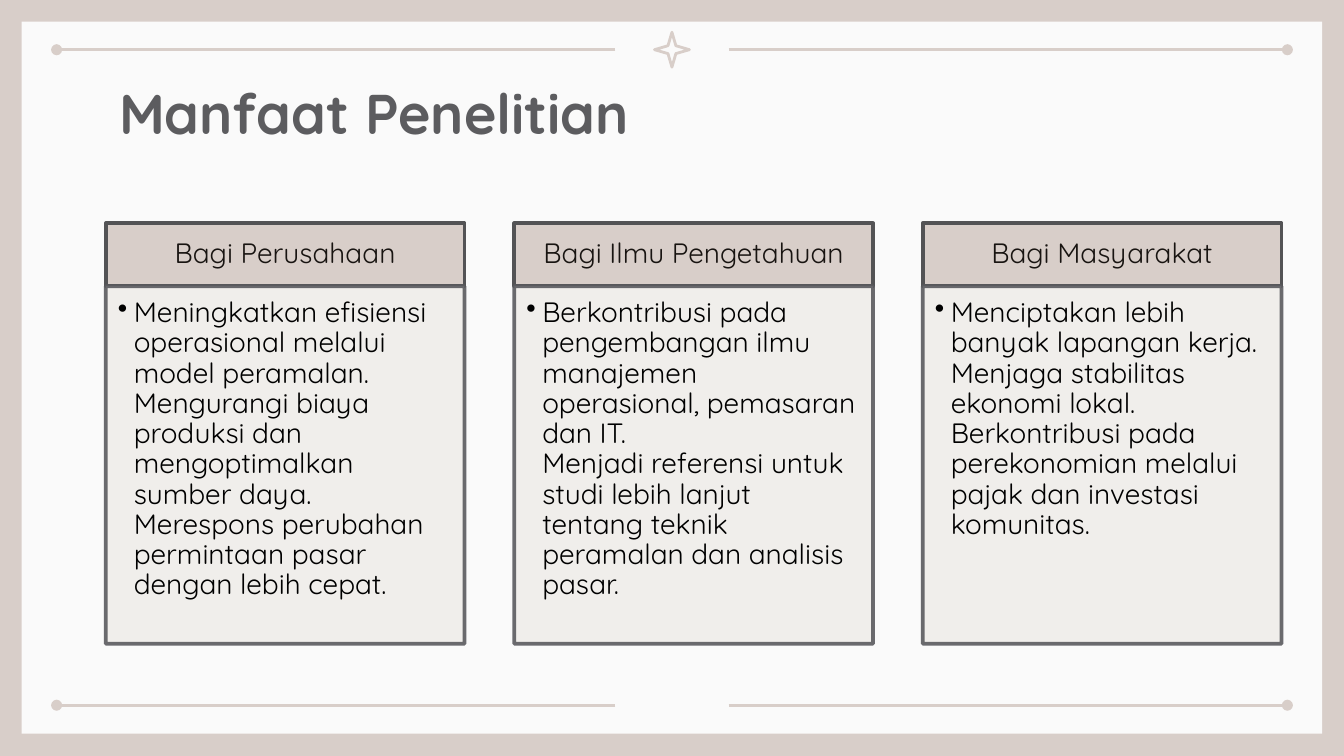
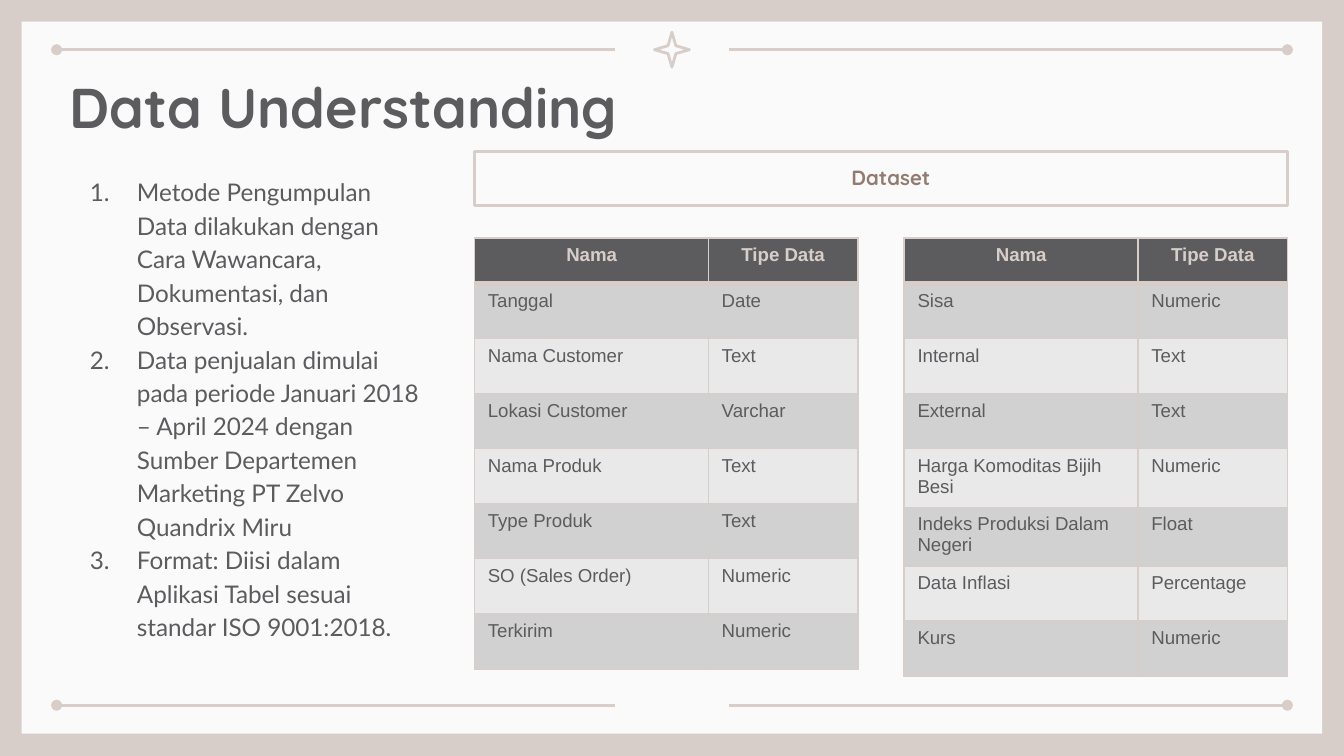
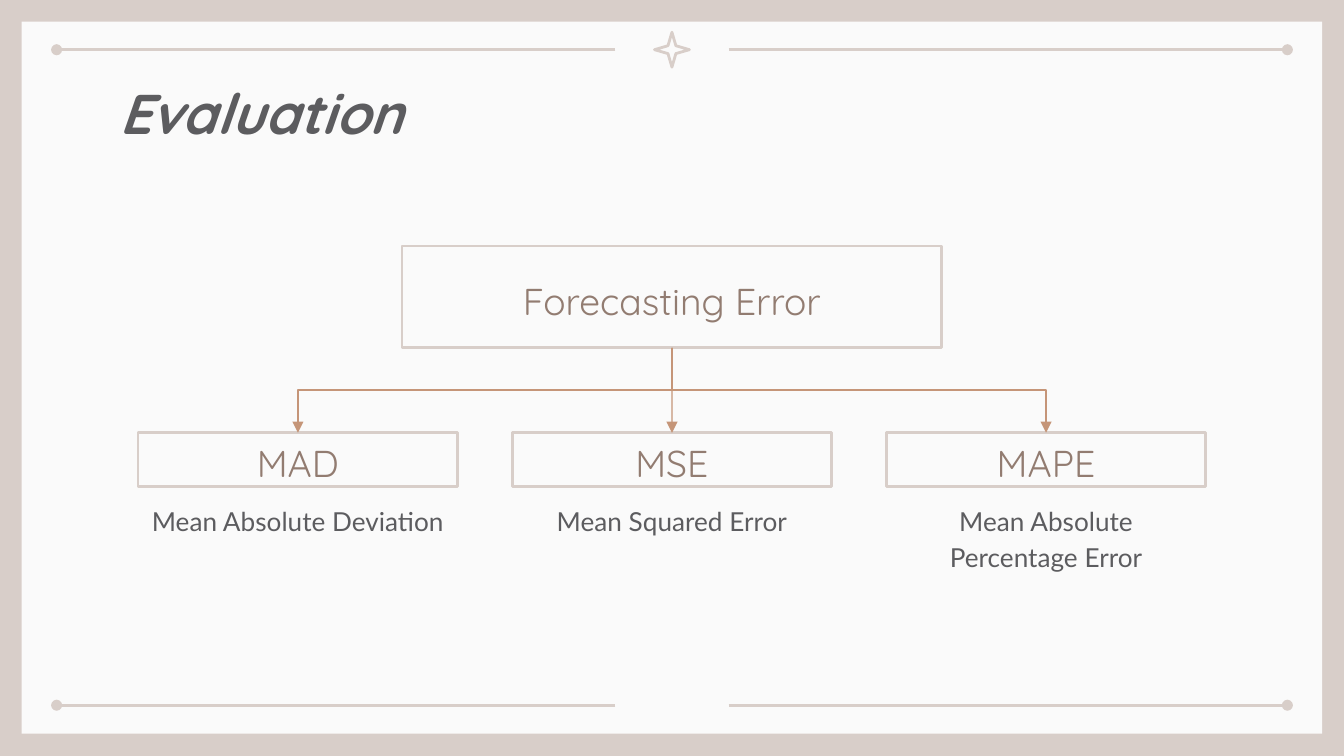
from lxml import etree
from pptx import Presentation
from pptx import util as u
from pptx.dml.color import RGBColor
from pptx.enum import shapes, text
from pptx.oxml import ns

Cm, Pt = u.Cm, u.Pt
SAND, PAPER, GREY, BROWN, COPPER = "D8CEC9", "FAFAFA", "5C5C5F", "927C71", "C59578"
HEAD_LINE, CARD, CARD_LINE = "535355", "EFEDEA", "5B5B5F"
INK, BLACK = "181411", "000000"
STRIPES = ("D1D1D1", "E9E9E9")
HEADING, BODY, TABLE = "Quicksand", "Lato", "Arial"
CENTER, MIDDLE = text.PP_ALIGN.CENTER, text.MSO_ANCHOR.MIDDLE
INSET = (0.25, 0.25, 0.25, 0.25)

CARDS = [
    ("Bagi Perusahaan",
     "Meningkatkan efisiensi operasional melalui model peramalan.\v"
     "Mengurangi biaya produksi dan mengoptimalkan sumber daya.\v"
     "Merespons perubahan permintaan pasar dengan lebih cepat."),
    ("Bagi Ilmu Pengetahuan",
     "Berkontribusi pada pengembangan ilmu manajemen operasional, pemasaran dan IT.\v"
     "Menjadi referensi untuk studi lebih lanjut tentang teknik peramalan dan analisis pasar."),
    ("Bagi Masyarakat",
     "Menciptakan lebih banyak lapangan kerja.\v"
     "Menjaga stabilitas ekonomi lokal.\v"
     "Berkontribusi pada perekonomian melalui pajak dan investasi komunitas."),
]
SOURCES = [
    "Metode Pengumpulan Data dilakukan dengan Cara Wawancara, Dokumentasi, dan Observasi.",
    "Data penjualan dimulai pada periode Januari 2018 – April 2024 dengan Sumber "
    "Departemen Marketing PT Zelvo Quandrix Miru",
    "Format: Diisi dalam Aplikasi Tabel sesuai standar ISO 9001:2018.",
]
HEADER = ("Nama", "Tipe Data")
FIELDS = [
    [HEADER, ("Tanggal", "Date"), ("Nama Customer", "Text"), ("Lokasi Customer", "Varchar"),
     ("Nama Produk", "Text"), ("Type Produk", "Text"), ("SO (Sales Order)", "Numeric"),
     ("Terkirim", "Numeric")],
    [HEADER, ("Sisa", "Numeric"), ("Internal", "Text"), ("External", "Text"),
     ("Harga Komoditas Bijih Besi", "Numeric"), ("Indeks Produksi Dalam Negeri", "Float"),
     ("Data Inflasi", "Percentage"), ("Kurs", "Numeric")],
]
MEASURES = [("MAD", "Mean Absolute Deviation"), ("MSE", "Mean Squared Error"),
            ("MAPE", "Mean Absolute Percentage Error")]


def rgb(value):
    return RGBColor.from_string(value)


def sub(parent, tag, **attrs):
    return etree.SubElement(parent, ns.qn(tag), attrs)


def set_alpha(fill_parent, percent):
    for clr in fill_parent.findall(ns.qn("a:solidFill") + "/" + ns.qn("a:srgbClr")):
        sub(clr, "a:alpha", val=str(percent * 1000))


# Text

def style(p, font, size, color, align=None, spacing=None, bold=False, italic=False):
    p.alignment = align
    if spacing:
        p.line_spacing = spacing
    for r in p.runs:
        f = r.font
        f.name, f.size, f.bold, f.italic = font, Pt(size), bold, italic
        f.color.rgb = rgb(color)


def indent(p, left, first):
    pPr = p._p.get_or_add_pPr()
    pPr.set("marL", str(Cm(left)))
    pPr.set("indent", str(Cm(first)))
    return pPr


def bullet(p, left, first, color, tag, **attrs):
    pPr = indent(p, left, first)
    sub(sub(pPr, "a:buClr"), "a:srgbClr", val=color)
    sub(pPr, tag, **attrs)


def set_margins(target, inset):
    (target.margin_left, target.margin_top,
     target.margin_right, target.margin_bottom) = map(Cm, inset)


def write(sp, lines, inset=INSET, anchor=text.MSO_ANCHOR.TOP, **look):
    tf = sp.text_frame
    tf.word_wrap = True
    tf.vertical_anchor = anchor
    set_margins(tf, inset)
    tf.text = "\n".join(lines)
    for p in tf.paragraphs:
        style(p, **look)
    return tf.paragraphs


def text_box(s, box, lines, **look):
    return write(s.shapes.add_textbox(*map(Cm, box)), lines, **look)


# Shapes and lines

def shape(s, box, fill=None, line=None, width=1.5, kind=shapes.MSO_SHAPE.RECTANGLE):
    sp = s.shapes.add_shape(kind, *map(Cm, box))
    sp.shadow.inherit = False
    if fill:
        sp.fill.solid()
        sp.fill.fore_color.rgb = rgb(fill)
    else:
        sp.fill.background()
    if line:
        sp.line.color.rgb = rgb(line)
        sp.line.width = Pt(width)
    else:
        sp.line.fill.background()
    return sp


def connector(s, ends=(0, 0, 0, 0), color=SAND, width=1.5, tip="oval",
              kind=shapes.MSO_CONNECTOR.STRAIGHT):
    c = s.shapes.add_connector(kind, *map(Cm, ends))
    c.line.color.rgb = rgb(color)
    c.line.width = Pt(width)
    sub(c.line._get_or_add_ln(), "a:tailEnd", type=tip)
    sub(c._element.spPr, "a:effectLst")
    return c


def branch(s, parent, child):
    """Arrow from the bottom of parent to the top of child."""
    dx = child.left + child.width // 2 - parent.left - parent.width // 2
    straight = abs(dx) < Cm(0.05)
    kind = shapes.MSO_CONNECTOR.STRAIGHT if straight else shapes.MSO_CONNECTOR.ELBOW
    c = connector(s, color=COPPER, width=0.75, tip="triangle", kind=kind)
    c.begin_connect(parent, 2)
    c.end_connect(child, 0)
    if straight:
        return
    # A quarter turn makes the elbow leave downwards
    w, h = c.width, c.height
    c.left, c.top = c.left + (w - h) // 2, c.top + (h - w) // 2
    c.width, c.height = h, w
    xfrm = c._element.spPr.find(ns.qn("a:xfrm"))
    xfrm.set("rot", str((90 if dx < 0 else 270) * 60000))
    xfrm.set("flipH", "0" if dx < 0 else "1")


# Shared frame and title

def add_slide(prs, title, box=(2, 1.24, 21.42, 1.6), italic=False):
    s = prs.slides.add_slide(prs.slide_layouts[6])
    shape(s, (0.41, 0.41, 24.58, 13.46), fill=PAPER)
    for y in (0.94, 13.33):
        for inner, outer in ((11.63, 1.07), (13.77, 24.33)):
            connector(s, (inner, y, outer, y))
    star = shape(s, (12.37, 0.61, 0.66, 0.66), line=SAND, kind=shapes.MSO_SHAPE.STAR_4_POINT)
    star.adjustments[0] = 0.16
    text_box(s, box, [title], font=HEADING, size=30, color=GREY, bold=True, italic=italic)
    return s


# Regions

def card(s, x, y, w, head, body, head_h=1.19, body_h=6.76):
    sp = shape(s, (x, y, w, head_h), SAND, HEAD_LINE, 2)
    write(sp, [head], inset=(0.3, 0.18, 0.3, 0.18), anchor=MIDDLE,
          font=HEADING, size=15, color=INK, align=CENTER, spacing=0.9)
    sp = shape(s, (x, y + head_h, w, body_h), CARD, CARD_LINE, 2)
    set_alpha(sp._element.spPr, 90)
    set_alpha(sp.line._get_or_add_ln(), 90)
    p, = write(sp, [body], inset=(0.23, 0.23, 0.3, 0.33), font=HEADING, size=15,
               color=BLACK, align=text.PP_ALIGN.LEFT, spacing=0.9)
    bullet(p, 0.3, -0.3, BLACK, "a:buChar", char="•")


def outlined_box(s, box, label, size=20, spacing=1.15, bold=False):
    sp = shape(s, box, line=SAND)
    write(sp, [label], anchor=MIDDLE, font=HEADING, size=size, color=BROWN,
          align=CENTER, spacing=spacing, bold=bold)
    return sp


def set_cell(cell, label, fill, is_head):
    cell.fill.solid()
    cell.fill.fore_color.rgb = rgb(fill)
    set_margins(cell, (0.25, 0.13, 0.25, 0.13))
    cell.text = label
    style(cell.text_frame.paragraphs[0], TABLE, 10, SAND if is_head else GREY,
          CENTER if is_head else None, bold=is_head)
    tcPr = cell._tc.get_or_add_tcPr()
    for i, side in enumerate(("a:lnL", "a:lnR", "a:lnT", "a:lnB")):
        width = 3 if is_head and side == "a:lnB" else 1
        ln = etree.Element(ns.qn(side), w=str(Pt(width)))
        sub(sub(ln, "a:solidFill"), "a:srgbClr", val=SAND)
        tcPr.insert(i, ln)


def field_table(s, x, y, rows, cols=(4.42, 2.82), head_h=0.86, row_h=1.04):
    height = head_h + row_h * (len(rows) - 1)
    tbl = s.shapes.add_table(len(rows), len(cols), Cm(x), Cm(y), Cm(sum(cols)), Cm(height)).table
    for col, w in zip(tbl.columns, cols):
        col.width = Cm(w)
    for i, row in enumerate(rows):
        tbl.rows[i].height = Cm(row_h if i else head_h)
        for j, label in enumerate(row):
            set_cell(tbl.cell(i, j), label, STRIPES[(i - 1) % 2] if i else GREY, i == 0)


# Slides

def benefits_slide(prs):
    s = add_slide(prs, "Manfaat Penelitian")
    for i, (head, body) in enumerate(CARDS):
        card(s, 2 + 7.72 * i, 4.22, 6.78, head, body)


def data_slide(prs):
    s = add_slide(prs, "Data Understanding", box=(1.07, 1.12, 22.33, 1.6))
    for p in text_box(s, (1.07, 3.02, 7.24, 9.3), SOURCES, font=BODY, size=13,
                      color=GREY, spacing=1.15):
        bullet(p, 1.27, -0.89, GREY, "a:buAutoNum", type="arabicPeriod")
    sp = outlined_box(s, (8.97, 2.87, 15.36, 1.02), "Dataset", 11, 0.95, bold=True)
    indent(sp.text_frame.paragraphs[0], 1.27, -0.89)
    for i, rows in enumerate(FIELDS):
        field_table(s, 8.97 + 8.12 * i, 4.5, rows)


def evaluation_slide(prs):
    s = add_slide(prs, "Evaluation", italic=True)
    root = outlined_box(s, (7.6, 4.65, 10.2, 1.92), "Forecasting Error")
    for i, (short, name) in enumerate(MEASURES):
        x = 2.61 + 7.07 * i
        box = outlined_box(s, (x, 8.18, 6.04, 1.02), short)
        text_box(s, (x, 9.22, 6.04, 2.41), [name], font=BODY, size=14, color=GREY,
                 align=CENTER, spacing=1.15)
        branch(s, root, box)


def main():
    prs = Presentation()
    prs.slide_width, prs.slide_height = Cm(25.4), Cm(14.29)
    fill = prs.slide_master.background.fill
    fill.solid()
    fill.fore_color.rgb = rgb(SAND)
    benefits_slide(prs)
    data_slide(prs)
    evaluation_slide(prs)
    prs.save("out.pptx")


if __name__ == "__main__":
    main()
